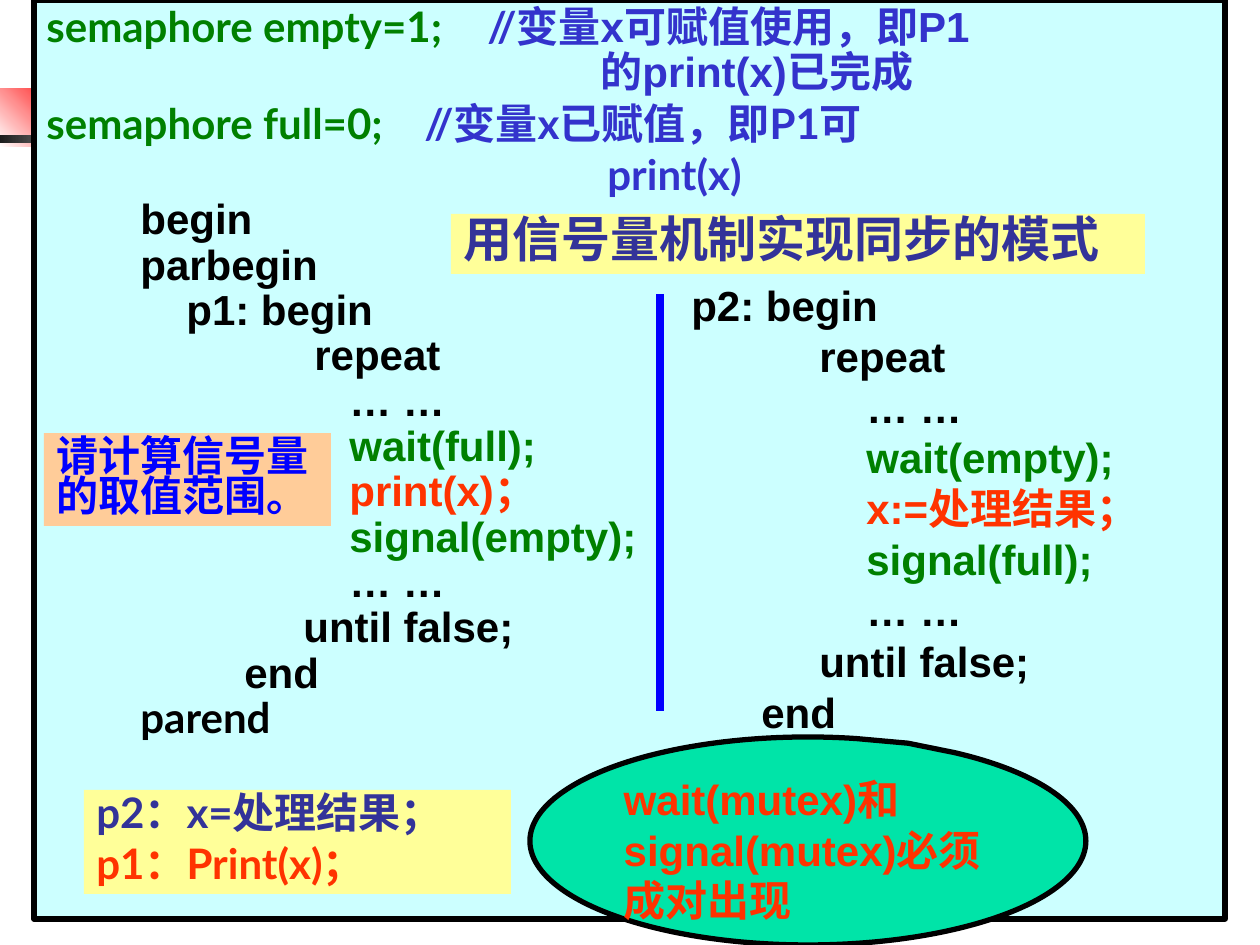
import pptx
import pptx.dml.color
import pptx.enum.shapes
import pptx.enum.text
import pptx.oxml.ns
import pptx.util
import lxml.etree

PX = 914400 / 126
COLORS = {
    "black": "000000", "white": "FFFFFF", "coal": "1C1C1C", "red": "FF0000",
    "cyan": "CCFFFF", "mint": "00E4A8", "yellow": "FFFF99", "peach": "FFCC99",
    "green": "008000", "orange": "FF3300", "blue": "0000FF",
    "indigo": "3333CC", "navy": "333399",
}
SHAPES = pptx.enum.shapes.MSO_SHAPE


def emu(px):
    return pptx.util.Emu(round(px * PX))


def rgb(name):
    return pptx.dml.color.RGBColor.from_string(COLORS[name])


def add_child(parent, tag, **attrs):
    return lxml.etree.SubElement(parent, pptx.oxml.ns.qn(tag), attrs)


class Deck:
    """Draws styled elements, measured in px, on the current slide."""

    def __init__(self, width, height):
        self.prs = pptx.Presentation()
        self.prs.slide_width, self.prs.slide_height = emu(width), emu(height)
        self.slide = self.prs.slides.add_slide(self.prs.slide_layouts[6])

    def shape(self, box, fill, line=None, kind=SHAPES.RECTANGLE):
        sp = self.slide.shapes.add_shape(kind, *map(emu, box))
        sp.shadow.inherit = False
        if fill:
            sp.fill.solid()
            sp.fill.fore_color.rgb = rgb(fill)
        if line:
            sp.line.color.rgb = rgb(line)
            sp.line.width = pptx.util.Pt(3)
        else:
            sp.line.fill.background()
        return sp

    def gradient(self, box, colors, angle):
        sp = self.shape(box, None)
        sp.fill.gradient()
        sp.fill.gradient_angle = angle
        for stop, color in zip(sp.fill.gradient_stops, colors):
            stop.color.rgb = rgb(color)

    def textbox(self, box):
        return self.slide.shapes.add_textbox(*map(emu, box))

    def paragraph(self, sp, text, color, font="Arial", size=24, indent=0,
                  spacing=0.8, before=6):
        tf = sp.text_frame
        tf.word_wrap = True
        tf.vertical_anchor = pptx.enum.text.MSO_ANCHOR.TOP
        p = tf.paragraphs[0] if not tf.text else tf.add_paragraph()
        p.alignment = pptx.enum.text.PP_ALIGN.LEFT
        p.line_spacing = spacing
        p.space_before = pptx.util.Pt(before)
        p.font.size = pptx.util.Pt(size)
        p.font.bold = True
        p.font.name = font
        p.font.color.rgb = rgb(color)
        pPr = p._p.get_or_add_pPr()
        pPr.set("marL", str(emu(indent)))
        pPr.set("indent", "0")
        p.add_run().text = text
        return p

    def comment(self, p, tab, parts):
        pPr = p._p.get_or_add_pPr()
        tabs = lxml.etree.Element(pptx.oxml.ns.qn("a:tabLst"))
        add_child(tabs, "a:tab", pos=str(emu(tab)), algn="l")
        pPr.find(pptx.oxml.ns.qn("a:defRPr")).addprevious(tabs)
        for text, font in parts:
            r = p.add_run()
            r.text = text
            r.font.name = font
            r.font.color.rgb = rgb("indigo")

    def code(self, sp, lines, **style):
        for indent, text, color in lines:
            self.paragraph(sp, text, color, indent=indent, **style)

    def line(self, x1, y1, x2, y2, color, width):
        cxn = self.slide.shapes.add_connector(
            pptx.enum.shapes.MSO_CONNECTOR.STRAIGHT, *map(emu, (x1, y1, x2, y2)))
        cxn.line.color.rgb = rgb(color)
        cxn.line.width = pptx.util.Pt(width)
        add_child(cxn._element.spPr, "a:effectLst")


def main():
    deck = Deck(1260, 945)
    deck.gradient((0, 89, 77, 58), ("white", "red"), 45)
    deck.gradient((0, 135, 154, 8), ("coal", "white"), 0)

    board = deck.shape((34, 0, 1191, 919), "cyan", "black")
    p = deck.paragraph(board, "semaphore empty=1;", "green", "Lato",
                       spacing=0.9, before=0)
    deck.comment(p, 424, [("\t//", "Lato"), ("变量x可赋值使用，即P1", "Arial")])
    deck.paragraph(board, "的print(x)已完成", "indigo", indent=554,
                   spacing=0.9, before=0)
    p = deck.paragraph(board, "semaphore full=0;", "green", "Lato")
    deck.comment(p, 400, [("\t//变量x已赋值，即P1可", "Lato")])
    deck.paragraph(board, "print(x)", "indigo", "Lato", indent=561)
    deck.code(board, [
        (94, "begin", "black"),
        (94, "parbegin", "black"),
        (140, "p1: begin", "black"),
        (268, "repeat", "black"),
        (303, "… …", "black"),
        (303, "wait(full);", "green"),
        (303, "print(x)；", "orange"),
        (303, "signal(empty);", "green"),
        (303, "… …", "black"),
        (257, "until false;", "black"),
        (198, "end", "black"),
    ], spacing=0.9, before=0)
    deck.paragraph(board, "parend", "black", "Lato", indent=94,
                   spacing=0.9, before=0)

    callout = deck.shape((530, 737, 556, 208), "mint", "black",
                         SHAPES.OVAL_CALLOUT)
    callout.adjustments[0], callout.adjustments[1] = 0.18, -0.47
    deck.paragraph(callout, "wait(mutex)和signal(mutex)必须成对出现", "orange",
                   spacing=1.0, before=0)

    title = deck.shape((451, 214, 694, 60), "yellow")
    deck.paragraph(title, "用信号量机制实现同步的模式", "navy", "Lato", 28, before=7)

    order = deck.shape((84, 790, 427, 104), "yellow")
    deck.paragraph(order, "p2：x=处理结果；", "navy", "Lato")
    deck.paragraph(order, "p1：Print(x)；", "orange", "Lato")

    producer = deck.textbox((679, 283, 494, 562))
    deck.code(producer, [
        (0, "p2: begin", "black"),
        (128, "repeat", "black"),
        (175, "… …", "black"),
        (175, "wait(empty);", "green"),
        (175, "x:=处理结果；", "orange"),
        (175, "signal(full);", "green"),
        (175, "… …", "black"),
        (128, "until false;", "black"),
        (70, "end", "black"),
    ])
    deck.line(660, 294, 660, 711, "blue", 4.5)

    question = deck.shape((44, 433, 287, 93), "peach")
    deck.paragraph(question, "请计算信号量的取值范围。", "blue", "Lato")

    deck.prs.save("out.pptx")


if __name__ == "__main__":
    main()
